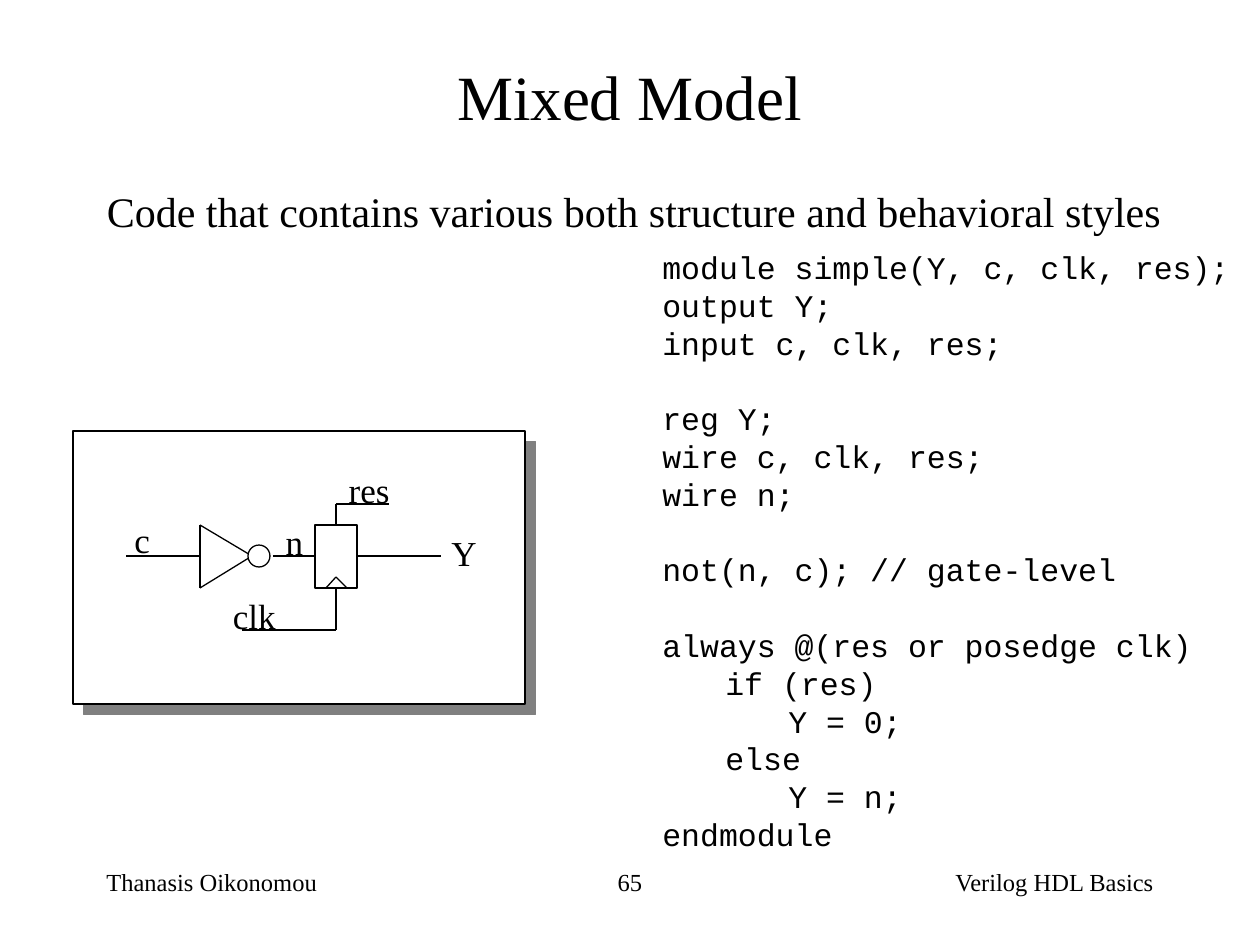
from lxml import etree
from pptx import Presentation
from pptx.dml.color import RGBColor
from pptx.enum.shapes import MSO_CONNECTOR, MSO_SHAPE
from pptx.enum.text import MSO_ANCHOR, PP_ALIGN
from pptx.oxml.ns import qn
from pptx.util import Emu, Pt

PX = 914400 / 126
BLACK = RGBColor(0, 0, 0)
WHITE = RGBColor(255, 255, 255)
STRAIGHT = MSO_CONNECTOR.STRAIGHT
RECTANGLE, OVAL = MSO_SHAPE.RECTANGLE, MSO_SHAPE.OVAL
TOP, MIDDLE = MSO_ANCHOR.TOP, MSO_ANCHOR.MIDDLE
LEFT, CENTER, RIGHT = PP_ALIGN.LEFT, PP_ALIGN.CENTER, PP_ALIGN.RIGHT
SERIF, MONO = "Times New Roman", "Courier New"
CODE_PITCH = Pt(21.6)

prs = Presentation()
prs.slide_width, prs.slide_height = Emu(round(1260 * PX)), Emu(round(945 * PX))
slide = prs.slides.add_slide(prs.slide_layouts[6])


def emu(*lengths):
    return [Emu(round(length * PX)) for length in lengths]


def add_text(text, box, size, align=CENTER, anchor=MIDDLE, font=SERIF, wrap=False):
    frame = slide.shapes.add_textbox(*emu(*box)).text_frame
    frame.word_wrap = wrap
    frame.vertical_anchor = anchor
    frame.text = text
    for paragraph in frame.paragraphs:
        paragraph.alignment = align
        for run in paragraph.runs:
            run.font.name = font
            run.font.size = Pt(size)
            run.font.color.rgb = BLACK
    return frame


for footer, left, width, align in [
    ("Thanasis Oikonomou", 94, 262, LEFT),
    ("Verilog HDL Basics", 766, 400, RIGHT),
    ("65", 499, 262, CENTER),
]:
    add_text(footer, (left, 861, width, 63), 14, align, TOP, wrap=True)

add_text("Mixed Model", (94, 53, 1071, 84), 36, wrap=True)
add_text(
    "Code that contains various both structure and behavioral styles",
    (94, 179, 1080, 63), 24,
)

code_groups = [
    ["module simple(Y, c, clk, res);", "output Y;", "input c, clk, res;"],
    ["reg Y;", "wire c, clk, res;", "wire n;"],
    ["not(n, c); // gate-level"],
    ["always @(res or posedge clk)", "\tif (res)", "\t\tY = 0;",
     "\telse", "\t\tY = n;", "endmodule"],
]
code_lines = [line for group in code_groups for line in group]
group_starts = [group[0] for group in code_groups[1:]]
code = add_text("\n".join(code_lines), (650, 242, 592, 617), 18, LEFT, font=MONO)
for paragraph, line in zip(code.paragraphs, code_lines):
    paragraph.line_spacing = CODE_PITCH
    if line in group_starts:
        paragraph.space_before = CODE_PITCH

diagram_parts = []
for kind, box in [
    (RECTANGLE, (73, 431, 452, 273)),
    (RECTANGLE, (315, 525, 42, 63)),
    (OVAL, (248, 545, 22, 22)),
]:
    part = slide.shapes.add_shape(kind, *emu(*box))
    part.fill.solid()
    part.fill.fore_color.rgb = WHITE
    part.line.color.rgb = BLACK
    part.line.width = Pt(0.75)
    part.shadow.inherit = False
    diagram_parts.append(part)

panel_effects = diagram_parts[0].element.spPr.find(qn("a:effectLst"))
panel_shadow = etree.SubElement(
    panel_effects, qn("a:outerShdw"), dist=str(Pt(8.5)), dir="2700000", algn="ctr"
)
etree.SubElement(panel_shadow, qn("a:srgbClr"), val="808080")

wires = [
    [(357, 556), (441, 556)],
    [(200, 588), (200, 525), (252, 556), (200, 588)],
    [(273, 556), (315, 556)],
    [(200, 556), (126, 556)],
    [(326, 588), (336, 577), (347, 588)],
    [(242, 630), (336, 630), (336, 588)],
    [(336, 525), (336, 504), (389, 504)],
]
bubble = diagram_parts[2].element
for wire in wires:
    for start, end in zip(wire, wire[1:]):
        segment = slide.shapes.add_connector(STRAIGHT, *emu(*start, *end))
        segment.line.color.rgb = BLACK
        segment.line.width = Pt(0.75)
        etree.SubElement(segment.element.spPr, qn("a:effectLst"))
        bubble.addprevious(segment.element)

for signal, left, top, width, align in [
    ("c", 122, 512, 40, CENTER),
    ("Y", 439, 525, 50, CENTER),
    ("clk", 220, 588, 68, RIGHT),
    ("res", 336, 462, 66, RIGHT),
    ("n", 273, 514, 43, CENTER),
]:
    add_text(signal, (left, top, width, 55), 20, align)

prs.save("out.pptx")
